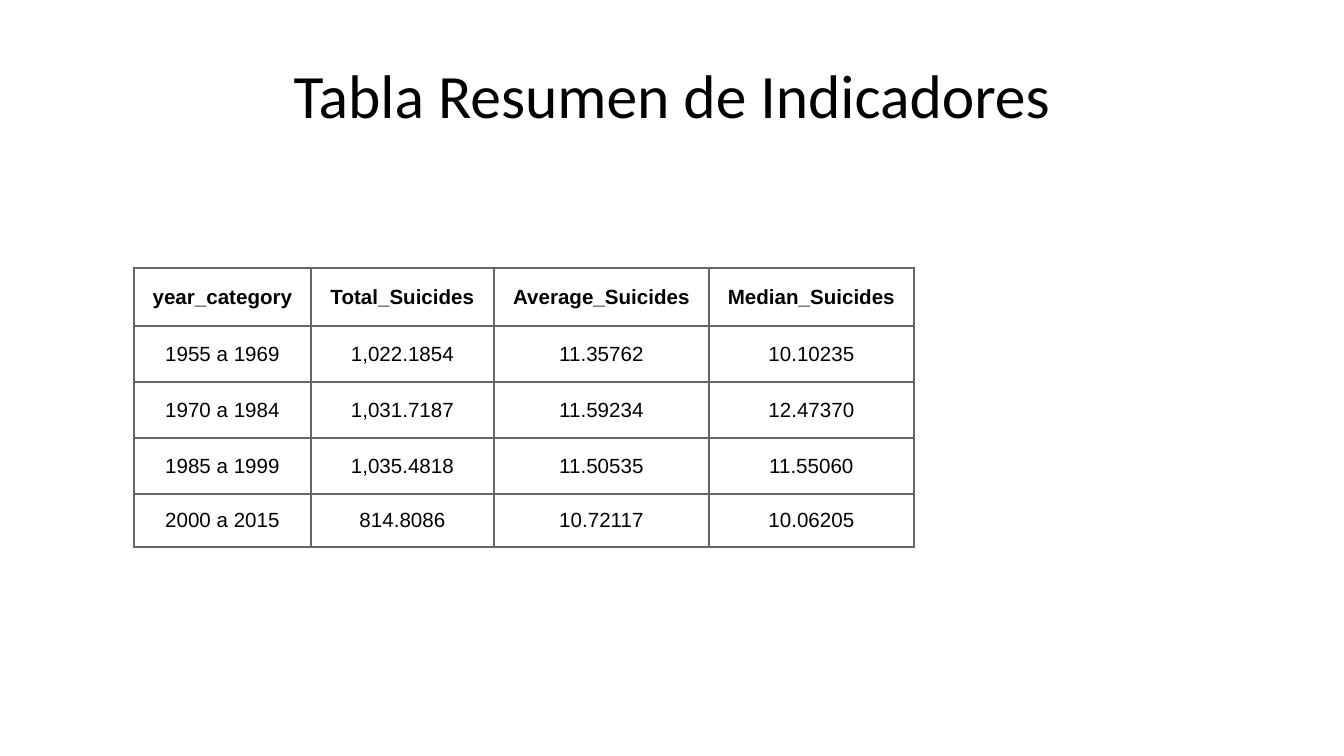
from lxml import etree
from pptx import Presentation
from pptx.dml.color import RGBColor
from pptx.enum.text import MSO_ANCHOR, PP_ALIGN
from pptx.oxml.ns import qn
from pptx.util import Pt

CENTER = PP_ALIGN.CENTER
MIDDLE = MSO_ANCHOR.MIDDLE
EMU_PER_PX = 914400 / 134.4

COLUMN_WIDTHS = [177, 183, 215, 205]
ROW_HEIGHTS = [58, 56, 56, 56, 53]
INDICATORS = [
    ["year_category", "Total_Suicides", "Average_Suicides", "Median_Suicides"],
    ["1955 a 1969", "1,022.1854", "11.35762", "10.10235"],
    ["1970 a 1984", "1,031.7187", "11.59234", "12.47370"],
    ["1985 a 1999", "1,035.4818", "11.50535", "11.55060"],
    ["2000 a 2015", "814.8086", "10.72117", "10.06205"],
]


def px(length):
    return round(length * EMU_PER_PX)


def color(hex_value):
    return RGBColor.from_string(hex_value)


def apply_format(target, values):
    for name, value in values.items():
        setattr(target, name, value)


class SlideBuilder:
    """Holds the shared style and the slide being filled."""

    text_color = "000000"
    border_color = "666666"
    border_width = Pt(0.75)
    title_font = {"name": "Calibri", "size": Pt(33)}
    table_font = {"name": "Arial", "size": Pt(11)}
    title_frame = {"word_wrap": True, "vertical_anchor": MIDDLE}
    cell_format = {
        "vertical_anchor": MIDDLE,
        "margin_left": 0,
        "margin_right": 0,
        "margin_top": Pt(5),
        "margin_bottom": Pt(5),
    }
    cell_spacing = {"space_before": Pt(5), "space_after": Pt(5)}

    def __init__(self, slide):
        self.slide = slide

    def centered_text(self, paragraph, text, font):
        paragraph.alignment = CENTER
        run = paragraph.add_run()
        run.text = text
        apply_format(run.font, font)
        run.font.color.rgb = color(self.text_color)

    def title(self, text, left, top, width, height):
        box = self.slide.shapes.add_textbox(px(left), px(top), px(width), px(height))
        apply_format(box.text_frame, self.title_frame)
        self.centered_text(box.text_frame.paragraphs[0], text, self.title_font)

    def border(self, cell):
        properties = cell._tc.get_or_add_tcPr()
        for position, side in enumerate(("lnL", "lnR", "lnT", "lnB")):
            line = etree.Element(qn(f"a:{side}"), w=str(self.border_width))
            fill = etree.SubElement(line, qn("a:solidFill"))
            etree.SubElement(fill, qn("a:srgbClr"), val=self.border_color)
            properties.insert(position, line)

    def cell(self, cell, text, bold):
        apply_format(cell, self.cell_format)
        cell.fill.background()
        self.border(cell)
        paragraph = cell.text_frame.paragraphs[0]
        apply_format(paragraph, self.cell_spacing)
        self.centered_text(paragraph, text, {**self.table_font, "bold": bold})
        for side in ("marL", "marR"):
            paragraph._p.get_or_add_pPr().set(side, str(Pt(5)))

    def table(self, rows, left, top, widths, heights):
        """Draw a bordered grid whose first row is bold."""
        table = self.slide.shapes.add_table(
            len(heights), len(widths), px(left), px(top),
            px(sum(widths)), px(sum(heights)),
        ).table
        for column, width in zip(table.columns, widths):
            column.width = px(width)
        for row_index, (row, height) in enumerate(zip(table.rows, heights)):
            row.height = px(height)
            for cell, text in zip(row.cells, rows[row_index]):
                self.cell(cell, text, bold=row_index == 0)


def main():
    presentation = Presentation()
    presentation.slide_width = px(1344)
    presentation.slide_height = px(756)
    blank_layout = presentation.slide_layouts[6]
    builder = SlideBuilder(presentation.slides.add_slide(blank_layout))
    builder.title("Tabla Resumen de Indicadores", 67, 31, 1210, 126)
    builder.table(INDICATORS, 134, 268, COLUMN_WIDTHS, ROW_HEIGHTS)
    presentation.save("out.pptx")


if __name__ == "__main__":
    main()
